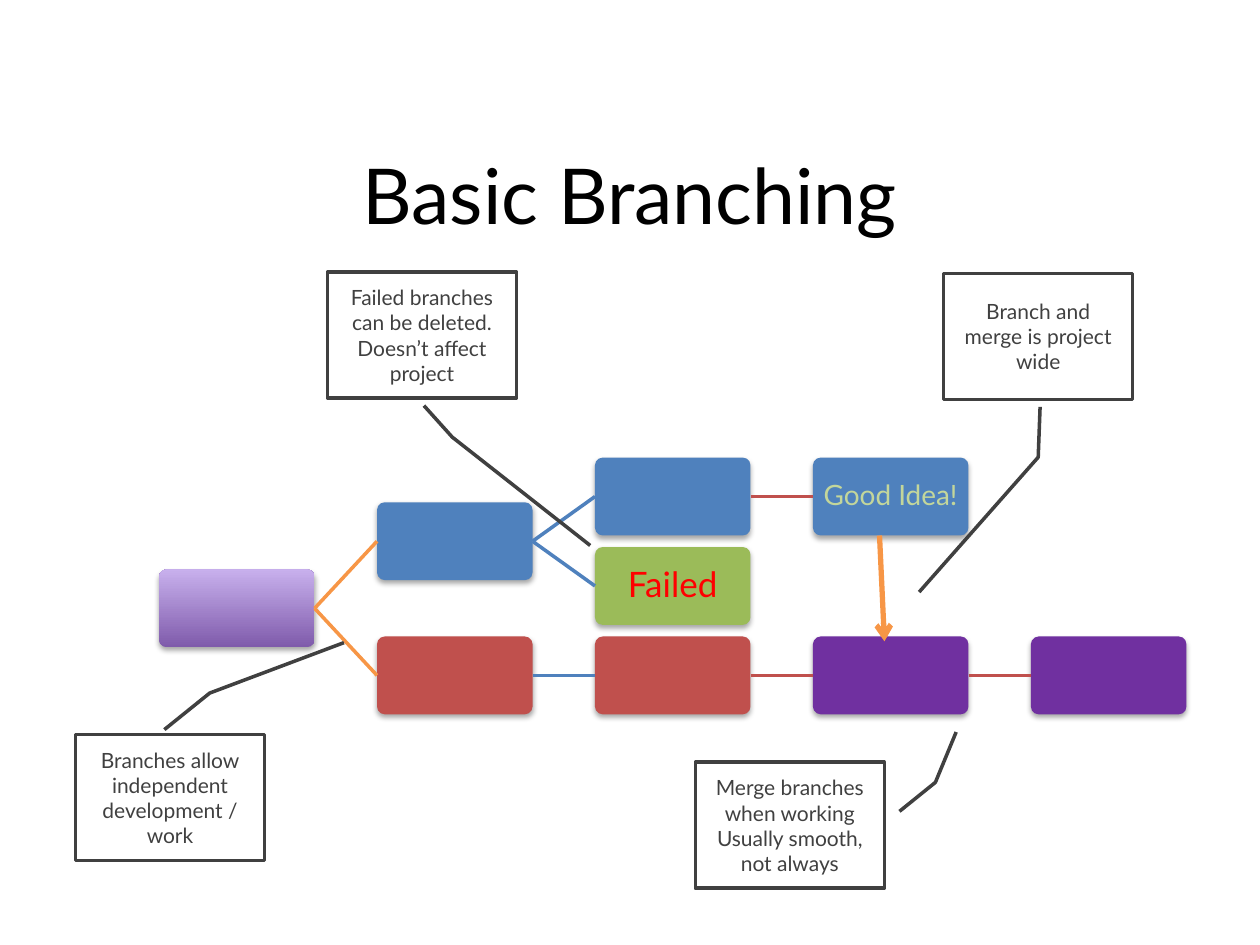
from dataclasses import dataclass
from lxml.etree import SubElement
from pptx import Presentation
from pptx.dml.color import RGBColor as RGB
from pptx.enum.shapes import MSO_CONNECTOR as Connector, MSO_SHAPE as Shape
from pptx.enum.text import MSO_ANCHOR as Anchor, PP_ALIGN as Align
from pptx.oxml import parse_xml
from pptx.oxml.ns import nsdecls, qn
from pptx.util import Pt


@dataclass(frozen=True)
class Theme:
    font: str = "Lato"
    black: str = "000000"
    white: str = "FFFFFF"
    ink: str = "404040"
    blue: str = "4F81BD"
    red: str = "C0504D"
    green: str = "9BBB59"
    purple: str = "7030A0"
    orange: str = "F79646"
    lime: str = "C3D69B"
    alert: str = "FF0000"
    root_dark: str = "7F5BAB"
    root_light: str = "C8B0ED"
    title_size: int = 44
    failed_size: int = 20
    idea_size: int = 16
    note_size: int = 12


theme = Theme()

TITLE = "Basic Branching"

# key: column, row, fill, label, label size, label colour
COMMITS = {
    "root": (0, 2.5, None, "", 0, ""),
    "branch": (1, 1, theme.blue, "", 0, ""),
    "main 1": (1, 4, theme.red, "", 0, ""),
    "idea": (2, 0, theme.blue, "", 0, ""),
    "failed": (2, 2, theme.green, "Failed", theme.failed_size, theme.alert),
    "main 2": (2, 4, theme.red, "", 0, ""),
    "good idea": (3, 0, theme.blue, "Good Idea!", theme.idea_size, theme.lime),
    "merge": (3, 4, theme.purple, "", 0, ""),
    "main 4": (4, 4, theme.purple, "", 0, ""),
}

LINKS = [
    ("root", "branch", theme.orange),
    ("root", "main 1", theme.orange),
    ("branch", "idea", theme.blue),
    ("branch", "failed", theme.blue),
    ("idea", "good idea", theme.red),
    ("main 1", "main 2", theme.blue),
    ("main 2", "merge", theme.red),
    ("merge", "main 4", theme.red),
]

MERGE_ARROW = (502.6, 306, 505.4, 366.5)

# left, top, pointer adjustments, paragraphs
NOTES = [
    (397.4, 435.6, (0.39, 1.08, 0.16, 1.27, -0.24, 1.38),
     ["Merge branches when working", "Usually smooth, not always"]),
    (43.2, 419.8, (-0.04, 0.47, -0.33, 0.71, -0.73, 1.42),
     ["Branches allow independent development / work"]),
    (187.2, 155.5, (1.06, 0.51, 1.31, 0.66, 2.17, 1.39),
     ["Failed branches can be deleted. Doesn’t affect project"]),
    (539.3, 156.2, (1.06, 0.51, 1.46, 0.5, 2.53, -0.13),
     ["Branch and merge is project wide"]),
]

GRID_LEFT, GRID_TOP = 90.9, 261.5
COLUMN_STEP, ROW_STEP = 124.55, 25.55
COMMIT_W, COMMIT_H = 88.9, 44.5
NOTE_W, NOTE_H = 108, 72
LABEL_INSET = 2

SOFT_SHADOW = (
    f'<a:effectLst {nsdecls("a")}>'
    '<a:outerShdw blurRad="40000" dist="23000" dir="5400000" rotWithShape="0">'
    '<a:srgbClr val="000000"><a:alpha val="35000"/></a:srgbClr>'
    '</a:outerShdw></a:effectLst>'
)


def write(frame, paragraphs, size, color):
    frame.word_wrap = True
    frame.vertical_anchor = Anchor.MIDDLE
    for index, text in enumerate(paragraphs):
        paragraph = frame.paragraphs[0] if index == 0 else frame.add_paragraph()
        paragraph.alignment = Align.CENTER
        run = paragraph.add_run()
        run.text = text
        run.font.name = theme.font
        run.font.size = Pt(size)
        run.font.color.rgb = RGB.from_string(color)


def stroke(line, color, width):
    line.color.rgb = RGB.from_string(color)
    line.width = Pt(width)


def paint(fill, color):
    fill.solid()
    fill.fore_color.rgb = RGB.from_string(color)


def add_commit(shapes, column, row, color, label, size, label_color):
    commit = shapes.add_shape(
        Shape.ROUNDED_RECTANGLE,
        Pt(GRID_LEFT + column * COLUMN_STEP), Pt(GRID_TOP + row * ROW_STEP),
        Pt(COMMIT_W), Pt(COMMIT_H))
    commit.adjustments[0] = 0.1
    commit.line.fill.background()
    if color:
        paint(commit.fill, color)
    else:
        commit.fill.gradient()
        commit.fill.gradient_angle = 90
        for stop, shade in zip(commit.fill.gradient_stops,
                               (theme.root_dark, theme.root_light)):
            stop.color.rgb = RGB.from_string(shade)
    commit.element.spPr.append(parse_xml(SOFT_SHADOW))
    if label:
        frame = commit.text_frame
        frame.margin_left = frame.margin_right = Pt(LABEL_INSET)
        frame.margin_top = frame.margin_bottom = Pt(LABEL_INSET)
        write(frame, [label], size, label_color)
        frame.paragraphs[0].line_spacing = 0.9
    return commit


def add_line(shapes, color, width, ends=(0, 0, 0, 0)):
    line = shapes.add_connector(Connector.STRAIGHT, *map(Pt, ends))
    stroke(line.line, color, width)
    SubElement(line.element.spPr, qn("a:effectLst"))
    return line


def add_note(shapes, left, top, pointer, paragraphs):
    note = shapes.add_shape(Shape.LINE_CALLOUT_2, Pt(left), Pt(top),
                            Pt(NOTE_W), Pt(NOTE_H))
    for index, value in enumerate(pointer):
        note.adjustments[index] = value
    note.shadow.inherit = False
    paint(note.fill, theme.white)
    stroke(note.line, theme.ink, 2)
    write(note.text_frame, paragraphs, theme.note_size, theme.ink)


def main():
    deck = Presentation()
    deck.slide_width, deck.slide_height = Pt(720), Pt(540)
    slide = deck.slides.add_slide(deck.slide_layouts[5])
    shapes = slide.shapes

    title = shapes.title
    title.left, title.top, title.width, title.height = map(Pt, (36, 65.5, 648, 90))
    write(title.text_frame, [TITLE], theme.title_size, theme.black)

    commits = {key: add_commit(shapes, *commit) for key, commit in COMMITS.items()}
    for parent, child, color in LINKS:
        link = add_line(shapes, color, 2)
        link.begin_connect(commits[parent], 3)
        link.end_connect(commits[child], 1)

    arrow = add_line(shapes, theme.orange, 3, MERGE_ARROW)
    SubElement(arrow.line._get_or_add_ln(), qn("a:tailEnd"), type="arrow")

    for note in NOTES:
        add_note(shapes, *note)

    deck.save("out.pptx")


if __name__ == "__main__":
    main()
